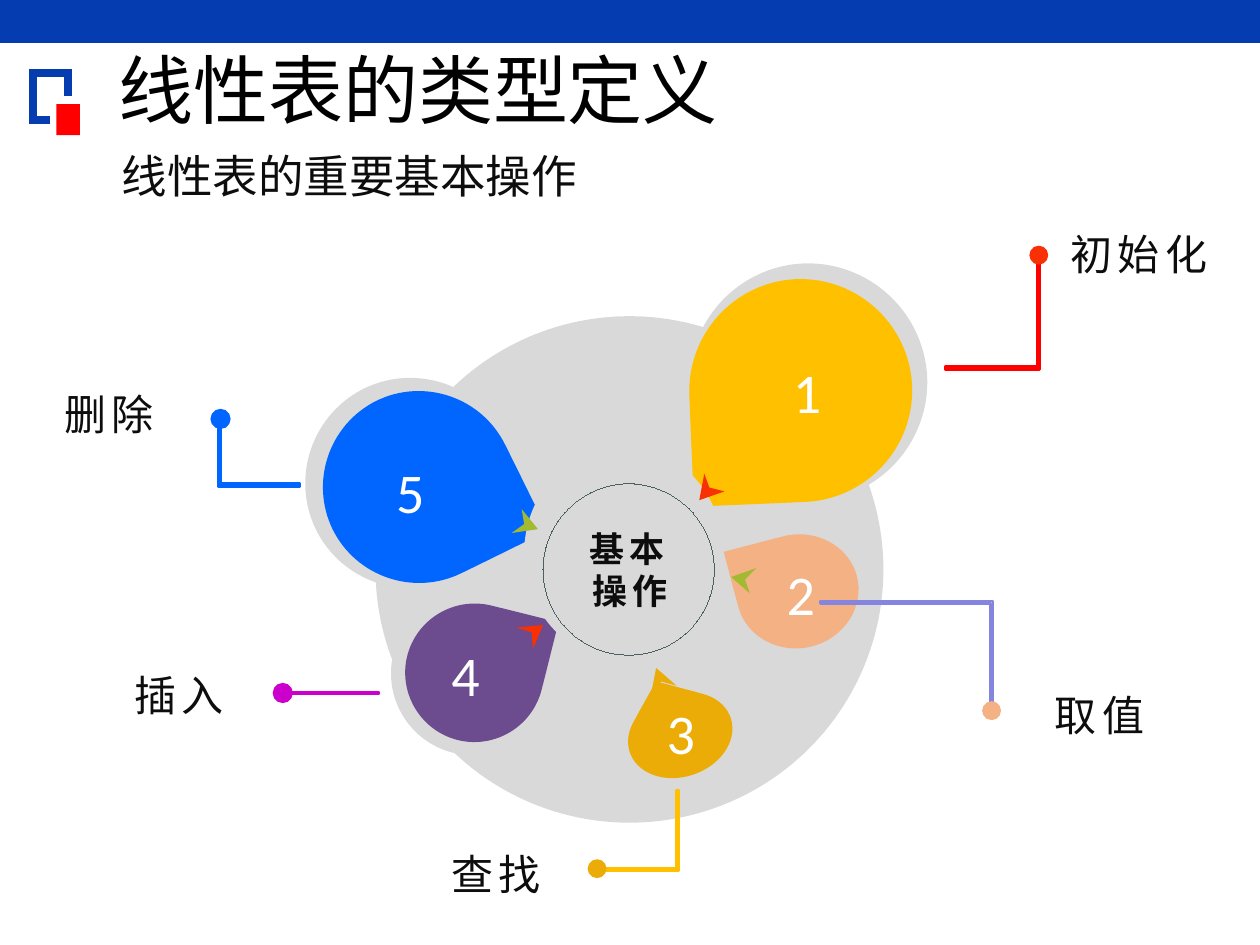
import math
import pptx
import pptx.util
import pptx.oxml
import pptx.oxml.ns
import pptx.dml.color
import pptx.enum.shapes
import pptx.enum.text

Pt = pptx.util.Pt
RGBColor = pptx.dml.color.RGBColor
Shapes = pptx.enum.shapes.MSO_SHAPE
Align = pptx.enum.text.PP_ALIGN
Anchor = pptx.enum.text.MSO_ANCHOR
AutoSize = pptx.enum.text.MSO_AUTO_SIZE
qn = pptx.oxml.ns.qn

NAVY = RGBColor(0x05, 0x3C, 0xAF)
RED = RGBColor(0xFF, 0x00, 0x00)
BLACK = RGBColor(0x00, 0x00, 0x00)
INK = RGBColor(0x0D, 0x0D, 0x0D)
WHITE = RGBColor(0xFF, 0xFF, 0xFF)
GRAY = RGBColor(0xD9, 0xD9, 0xD9)
PURPLE = RGBColor(0x6C, 0x4C, 0x8F)
BLUE = RGBColor(0x00, 0x66, 0xFF)
YELLOW = RGBColor(0xFF, 0xC0, 0x00)
PEACH = RGBColor(0xF4, 0xB1, 0x83)
GOLD = RGBColor(0xEB, 0xAC, 0x07)
SCARLET = RGBColor(0xF8, 0x30, 0x03)
GREEN = RGBColor(0xA2, 0xB9, 0x32)
LILAC = RGBColor(0x85, 0x85, 0xE0)
MAGENTA = RGBColor(0xCC, 0x00, 0xCC)
SLATE = RGBColor(0x4C, 0x60, 0x62)

deck = pptx.Presentation()
deck.slide_width, deck.slide_height = Pt(720), Pt(540)
page = deck.slides.add_slide(deck.slide_layouts[1])


def paint(shape, fill=None, line=None, width=0.75, turn=0):
    shape.shadow.inherit = False
    if turn:
        shape.rotation = turn
    if fill is None:
        shape.fill.background()
    else:
        shape.fill.solid()
        shape.fill.fore_color.rgb = fill
    if line is None:
        shape.line.fill.background()
    else:
        shape.line.color.rgb = line
        shape.line.width = Pt(width)


def outline(points, closed=True):
    corners = [(Pt(x), Pt(y)) for x, y in points]
    builder = page.shapes.build_freeform(*corners[0], scale=1.0)
    builder.add_line_segments(corners[1:], close=closed)
    return builder.convert_to_shape()


banner = page.shapes.add_shape(Shapes.RECTANGLE, 0, 0, Pt(720), Pt(24.5))
paint(banner, NAVY)
bracket = outline([(28.8, 68.4), (18.7, 68.4), (18.7, 41.8), (38.9, 41.8), (38.9, 54.7)], False)
paint(bracket, line=NAVY, width=4.5)
miter = pptx.oxml.parse_xml(
    '<a:miter xmlns:a="http://schemas.openxmlformats.org/drawingml/2006/main" lim="800000"/>')
bracket.line._get_or_add_ln().append(miter)
square = page.shapes.add_shape(Shapes.RECTANGLE, Pt(32.2), Pt(59.5), Pt(13.5), Pt(17.8))
paint(square, RED)

title, body = page.shapes.title, page.placeholders[1]
headings = [
    (title, "线性表的类型定义", (60.5, 26.6, 484.6, 54), 42.9, "Times New Roman", BLACK, Anchor.MIDDLE),
    (body, "线性表的重要基本操作", (26.3, 84.5, 313.2, 43.2), 26, "Calibri", INK, Anchor.TOP),
]
for box, text, place, size, font, color, anchor in headings:
    box.left, box.top, box.width, box.height = map(Pt, place)
    frame = box.text_frame
    frame.text = text
    frame.auto_size = AutoSize.NONE
    frame.vertical_anchor = anchor
    para = frame.paragraphs[0]
    para.alignment = Align.LEFT
    para.line_spacing = 0.9
    para.space_before = Pt(0)
    span = para.runs[0]
    span.font.name, span.font.size, span.font.color.rgb = font, Pt(size), color
para = body.text_frame.paragraphs[0]
para.level = 1
props = para._p.get_or_add_pPr()
props.set("marL", str(Pt(54)))
props.set("indent", str(Pt(-18)))
bullet = pptx.oxml.parse_xml(
    '<a:buNone xmlns:a="http://schemas.openxmlformats.org/drawingml/2006/main"/>')
props.append(bullet)

halos = [
    (461.9, 218.5, 68, 68, 132.6, 0, GRAY),
    (234.6, 276.1, 60.2, 60.2, 19.4, 0, GRAY),
    (270, 384.9, 46.6, 46.6, -35.9, 0, GRAY),
]
petals = [
    (271.1, 384.5, 39.6, 39.6, -31, 0, PURPLE),
    (239.4, 278.3, 54.9, 54.9, 18.8, 0, BLUE),
    (457.6, 223.2, 63.7, 63.7, 132.6, 0, YELLOW),
    (455.8, 338, 35, 32.5, 223.4, -13.1, PEACH),
    (387.6, 420.3, 30.5, 23.8, 266, -19.1, GOLD),
]
arcs = [(reach, start + step) for start in (45, 135, 225)
        for reach, step in ((1.14, 28.9), (1.14, 61.1), (1, 90))]
point = (math.sqrt(2), 0)
drop_curve = [(1, 45)] + arcs + [(1.04, 330.5), point, point, point, (1.04, 29.5), (1, 45)]
discs = [((214.6, 180.7, 290.2, 289.4), halos), ((299.5, 254.9, 113.8, 122.4), petals)]
for place, drops in discs:
    for x, y, across, down, tip, turn, color in drops:
        drop = outline([(x + across * reach * math.cos(math.radians(tip + angle)),
                         y + down * reach * math.sin(math.radians(tip + angle)))
                        for reach, angle in drop_curve])
        segments = list(drop._element.iter(qn("a:lnTo")))
        for first in range(0, 15, 3):
            curve = segments[first]
            bezier = curve.makeelement(qn("a:cubicBezTo"))
            curve.addprevious(bezier)
            for segment in segments[first:first + 3]:
                bezier.append(segment[0])
                segment.getparent().remove(segment)
        paint(drop, color, turn=turn)
    disc = page.shapes.add_shape(Shapes.OVAL, *map(Pt, place))
    paint(disc, GRAY)

arrows = [
    ([(295.2, 358.6), (310.3, 357.1), (304.6, 370.8), (303.8, 361.4)], SCARLET, 0),
    ([(298.1, 290.9), (307.4, 302.4), (292.3, 304.6), (299.5, 299.5)], GREEN, 0),
    ([(414, 280.8), (399.6, 285.8), (402.5, 270.7), (405.4, 278.6)], SCARLET, 0),
    ([(424.4, 338.4), (420.3, 324.7), (435.2, 328.1), (426.2, 330.2)], GREEN, -32.1),
    ([(370, 394.2), (376.8, 381.2), (385, 394.2), (377.4, 389.5)], GOLD, -16.6),
]
for points, color, turn in arrows:
    paint(outline(points), color, turn=turn)

ring = page.shapes.add_shape(Shapes.OVAL, Pt(310.3), Pt(276.5), Pt(97.9), Pt(97.9))
paint(ring, line=SLATE, width=0.01)

elbows = [
    ((594, 211), (540, 142.6), RED, RED),
    ((567.4, 343.4), (468.7, 401.8), PEACH, LILAC),
    ((388.1, 497.5), (339.8, 451.4), YELLOW, YELLOW),
    ((124.6, 277.9), (171.4, 236.2), BLUE, BLUE),
]
for (x, y), (far_x, far_y), color, edge in elbows:
    inner_x = x + math.copysign(1.5, far_x - x)
    inner_y = y + math.copysign(1.5, far_y - y)
    points = [(x, y), (far_x, y), (far_x, inner_y), (inner_x, inner_y), (inner_x, far_y), (x, far_y)]
    paint(outline(points), color, edge, 1.5)

dots = [
    (588.2, 140.4, SCARLET, None),
    (561.2, 400.7, PEACH, None),
    (156.2, 390.6, MAGENTA, MAGENTA),
    (335.8, 491, GOLD, None),
    (120.6, 234, BLUE, BLUE),
]
for x, y, color, edge in dots:
    dot = page.shapes.add_shape(Shapes.OVAL, Pt(x), Pt(y), Pt(10.8), Pt(10.8))
    paint(dot, color, edge)
bar = page.shapes.add_shape(Shapes.RECTANGLE, Pt(161.3), Pt(395.5), Pt(55.4), Pt(1.1))
paint(bar, PURPLE, MAGENTA)

labels = [
    ("基本操作", 318.2, 296.6, 83.5, 58.3, 20, INK),
    ("初始化", 600, 125.6, 101.5, 38.9, 24, INK),
    ("查找", 246.4, 479.8, 74.2, 38.9, 24, INK),
    ("插入", 65, 377.8, 74.2, 38.9, 24, INK),
    ("取值", 591.2, 388.8, 74.2, 38.9, 24, INK),
    ("删除", 25.3, 217, 74.2, 38.9, 24, INK),
    ("1", 441.8, 199.4, 38.9, 48.2, 32, WHITE),
    ("5", 215, 256.3, 38.9, 48.2, 32, WHITE),
    ("4", 246.6, 361.2, 38.9, 48.2, 32, WHITE),
    ("3", 369.6, 394.4, 38.9, 48.2, 32, WHITE),
    ("2", 438.2, 314.6, 38.9, 48.2, 32, WHITE),
]
for text, x, y, width, height, size, color in labels:
    hub = size == 20
    box = page.shapes.add_textbox(Pt(x), Pt(y), Pt(width), Pt(height))
    frame = box.text_frame
    frame.text = text
    frame.word_wrap = hub
    frame.auto_size = AutoSize.SHAPE_TO_FIT_TEXT
    frame.margin_left = frame.margin_right = Pt(9.4)
    frame.margin_top = frame.margin_bottom = Pt(5)
    para = frame.paragraphs[0]
    para.alignment = Align.CENTER
    span = para.runs[0]
    span.font.name, span.font.size, span.font.bold = "Calibri", Pt(size), hub
    span.font.color.rgb = color
    span._r.get_or_add_rPr().set("spc", "300")

deck.save("out.pptx")
